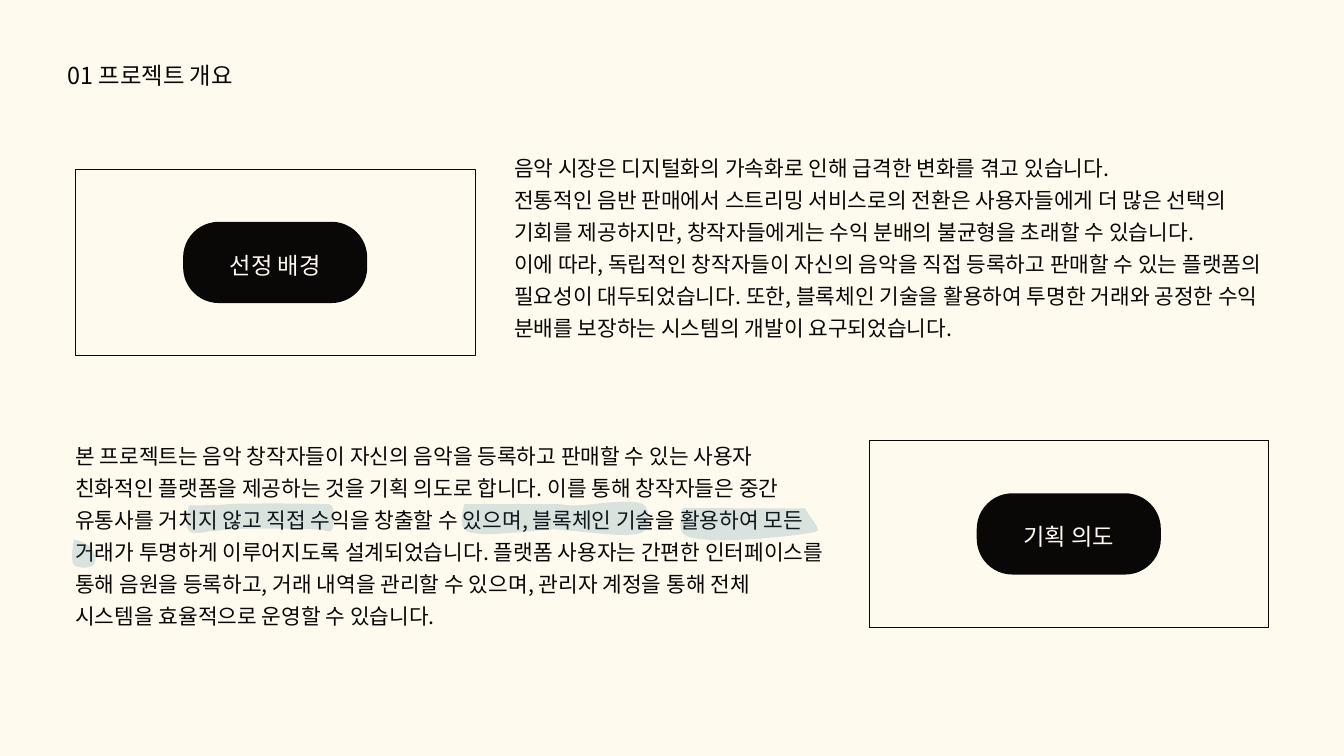
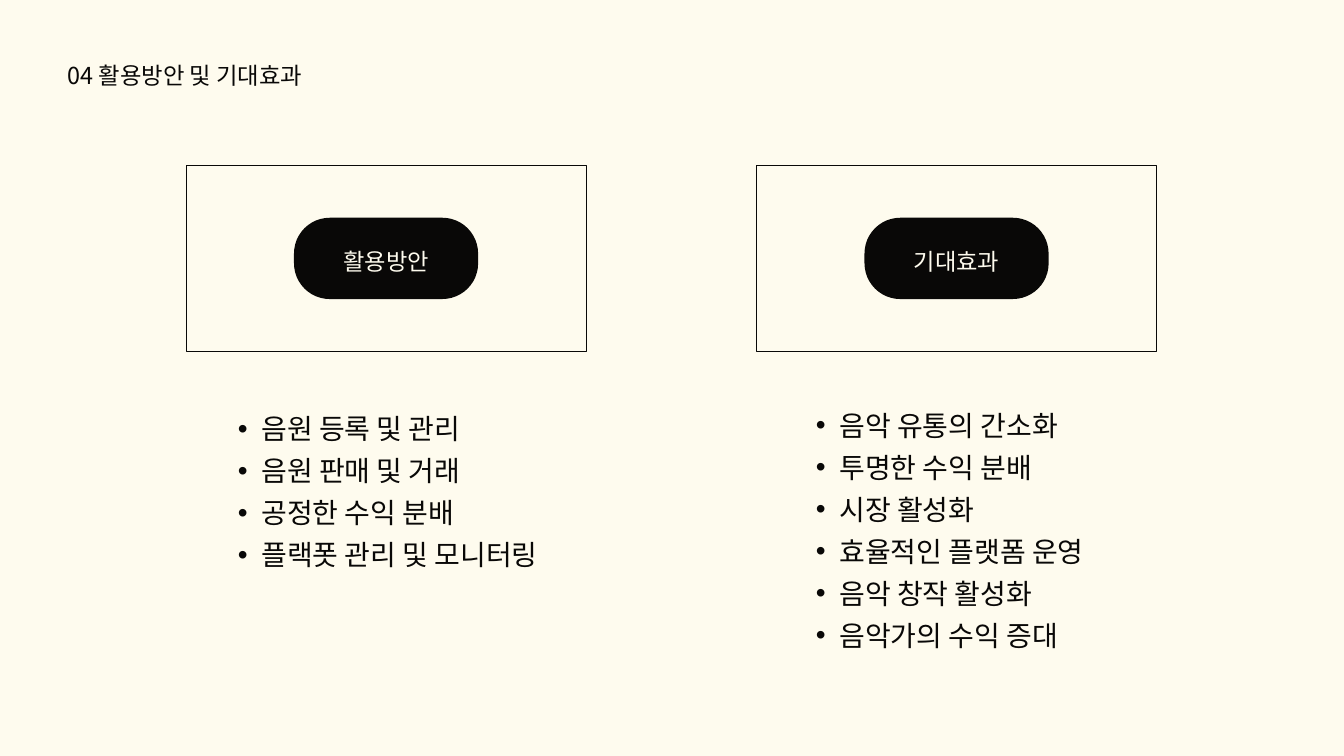
from lxml.etree import SubElement
from pptx import Presentation
from pptx.dml.color import RGBColor
from pptx.enum.lang import MSO_LANGUAGE_ID
from pptx.enum.shapes import MSO_SHAPE
from pptx.enum.text import MSO_ANCHOR, MSO_AUTO_SIZE, PP_ALIGN
from pptx.oxml.ns import qn
from pptx.util import Inches, Pt

# Shared look
CREAM = RGBColor(0xFE, 0xFB, 0xEE)
INK = RGBColor(0x09, 0x08, 0x07)
MARKER = RGBColor(0x26, 0x67, 0x8B)
MARKER_OPACITY = 17
FONT = "Noto Sans CJK SC"

TITLE = {"size": Pt(25), "spacing": Pt(35), "color": INK}
BODY = {"size": Pt(22.9), "spacing": Pt(34.3), "color": INK}
LABEL = {"size": Pt(24.9), "spacing": Pt(34.9), "color": CREAM, "align": PP_ALIGN.CENTER}
BULLETS = {"size": Pt(30), "spacing": Pt(45), "color": INK, "bullet": "•"}
JUSTIFIED_BULLETS = {**BULLETS, "align": PP_ALIGN.JUSTIFY}

CARD_W, CARD_H = 5.95, 2.77
PILL_W, PILL_H = 2.74, 1.21
PILL_ROUNDING = 0.44

# Content: cards are (label, left, top); texts are (box, format, paragraphs)
SLIDES = [
    {
        "title": ("01 프로젝트 개요", 2.82),
        "cards": [("선정 배경", 1.12, 2.52), ("기획 의도", 12.93, 6.56)],
        "texts": [
            ((7.65, 2.21, 11.23, 3.3), BODY, [
                "음악 시장은 디지털화의 가속화로 인해 급격한 변화를 겪고 있습니다.",
                "전통적인 음반 판매에서 스트리밍 서비스로의 전환은 사용자들에게 더 많은 "
                "선택의 기회를 제공하지만, 창작자들에게는 수익 분배의 불균형을 초래할 수 "
                "있습니다.",
                "이에 따라, 독립적인 창작자들이 자신의 음악을 직접 등록하고 판매할 수 있는 "
                "플랫폼의 필요성이 대두되었습니다. 또한, 블록체인 기술을 활용하여 투명한 "
                "거래와 공정한 수익 분배를 보장하는 시스템의 개발이 요구되었습니다.",
            ]),
            ((1.12, 6.5, 11.23, 2.82), BODY, [
                "본 프로젝트는 음악 창작자들이 자신의 음악을 등록하고 판매할 수 있는 사용자 "
                "친화적인 플랫폼을 제공하는 것을 기획 의도로 합니다. 이를 통해 창작자들은 "
                "중간 유통사를 거치지 않고 직접 수익을 창출할 수 있으며, 블록체인 기술을 "
                "활용하여 모든 거래가 투명하게 이루어지도록 설계되었습니다. 플랫폼 사용자는 "
                "간편한 인터페이스를 통해 음원을 등록하고, 거래 내역을 관리할 수 있으며, "
                "관리자 계정을 통해 전체 시스템을 효율적으로 운영할 수 있습니다.",
            ]),
        ],
        # Marker strokes: a start point, then three points per curve
        "strokes": [
            [(2.81, 7.52), (3.29, 7.52), (3.32, 7.51), (3.42, 7.5),
             (3.66, 7.49), (4.48, 7.49), (4.73, 7.5), (4.83, 7.51), (4.89, 7.48), (4.93, 7.52),
             (4.99, 7.58), (4.98, 7.85), (4.93, 7.9), (4.89, 7.93), (4.83, 7.88), (4.73, 7.88),
             (4.49, 7.86), (3.66, 7.86), (3.42, 7.88), (3.32, 7.88), (3.29, 7.89), (3.21, 7.9),
             (3.1, 7.9), (2.88, 7.97), (2.81, 7.9), (2.75, 7.84), (2.81, 7.52), (2.81, 7.52)],
            [(6.91, 7.5), (8.21, 7.5), (8.24, 7.5), (8.31, 7.5),
             (8.39, 7.51), (8.43, 7.52), (8.53, 7.52), (8.75, 7.53), (9.46, 7.39), (9.59, 7.52),
             (9.67, 7.6), (9.67, 7.82), (9.59, 7.9), (9.46, 8.03), (8.71, 7.91), (8.5, 7.9),
             (8.4, 7.89), (8.39, 7.88), (8.3, 7.88), (8.05, 7.86), (7.06, 8.04), (6.91, 7.88),
             (6.82, 7.8), (6.91, 7.5), (6.91, 7.5)],
            [(10.16, 7.56), (12.03, 7.57), (11.99, 7.56), (11.99, 7.57),
             (11.97, 7.59), (12.19, 7.84), (12.17, 7.89),
             (12.16, 7.92), (12.11, 7.92), (12.05, 7.93),
             (11.8, 7.98), (10.36, 8.14), (10.16, 7.94),
             (10.08, 7.85), (10.16, 7.56), (10.16, 7.56)],
            [(1.1, 8.03), (1.45, 8.09), (1.45, 8.35), (1.39, 8.41),
             (1.34, 8.46), (1.15, 8.46), (1.1, 8.41), (1.04, 8.35), (1.1, 8.03), (1.1, 8.03)],
        ],
    },
    {
        "title": ("04 활용방안 및 기대효과", 4.16),
        "cards": [("활용방안", 2.77, 2.46), ("기대효과", 11.26, 2.46)],
        "texts": [
            ((3.18, 6, 5.12, 3.75), BULLETS, [
                "음원 등록 및 관리", "음원 판매 및 거래", "공정한 수익 분배",
                "플랙폿 관리 및 모니터링",
            ]),
            ((11.78, 5.95, 4.92, 4.37), JUSTIFIED_BULLETS, [
                "음악 유통의 간소화", "투명한 수익 분배", "시장 활성화",
                "효율적인 플랫폼 운영", "음악 창작 활성화", "음악가의 수익 증대",
            ]),
        ],
        "strokes": [],
    },
]


def write(frame, paragraphs, style):
    frame.word_wrap = True
    for side in ("left", "top", "right", "bottom"):
        setattr(frame, f"margin_{side}", 0)
    for index, words in enumerate(paragraphs):
        paragraph = frame.add_paragraph() if index else frame.paragraphs[0]
        paragraph.line_spacing = style["spacing"]
        paragraph.alignment = style.get("align", PP_ALIGN.LEFT)
        if "bullet" in style:
            paragraph.level = 1
            props = paragraph._p.get_or_add_pPr()
            props.set("marL", str(Inches(0.71)))
            props.set("indent", str(Inches(-0.35)))
            SubElement(props, qn("a:buFont"), typeface="Arial")
            SubElement(props, qn("a:buChar"), char=style["bullet"])
        run = paragraph.add_run()
        run.text = words
        font_format = {"size": style["size"], "name": FONT,
                       "language_id": MSO_LANGUAGE_ID.ENGLISH_US}
        for attribute, value in font_format.items():
            setattr(run.font, attribute, value)
        run.font.color.rgb = style["color"]
        SubElement(run._r.get_or_add_rPr(), qn("a:ea"), typeface=FONT)


def add_text(slide, box, paragraphs, style):
    frame = slide.shapes.add_textbox(*map(Inches, box)).text_frame
    write(frame, paragraphs, style)
    frame.auto_size = MSO_AUTO_SIZE.SHAPE_TO_FIT_TEXT


def add_card(slide, label, left, top):
    border = slide.shapes.add_shape(
        MSO_SHAPE.RECTANGLE, *map(Inches, (left, top, CARD_W, CARD_H)))
    border.shadow.inherit = False
    border.fill.background()
    border.line.color.rgb = INK
    border.line.width = Pt(0.75)

    # The pill sits in the centre of its card
    pill_box = (left + (CARD_W - PILL_W) / 2, top + (CARD_H - PILL_H) / 2, PILL_W, PILL_H)
    pill = slide.shapes.add_shape(MSO_SHAPE.ROUNDED_RECTANGLE, *map(Inches, pill_box))
    pill.adjustments[0] = PILL_ROUNDING
    pill.shadow.inherit = False
    pill.fill.solid()
    pill.fill.fore_color.rgb = INK
    pill.line.fill.background()
    write(pill.text_frame, [label], LABEL)
    pill.text_frame.vertical_anchor = MSO_ANCHOR.MIDDLE


def add_stroke(slide, points):
    start, *rest = [tuple(map(Inches, point)) for point in points]
    builder = slide.shapes.build_freeform(*start)
    builder.add_line_segments(rest, close=False)
    stroke = builder.convert_to_shape()
    stroke.shadow.inherit = False
    stroke.fill.solid()
    stroke.fill.fore_color.rgb = MARKER
    stroke.line.fill.background()
    color = stroke._element.spPr.find(qn("a:solidFill"))[0]
    SubElement(color, qn("a:alpha"), val=str(MARKER_OPACITY * 1000))

    # Join each three straight segments into one cubic curve
    segments = list(stroke._element.iter(qn("a:lnTo")))
    outline = segments[0].getparent()
    for first in range(0, len(segments), 3):
        curve = SubElement(outline, qn("a:cubicBezTo"))
        for segment in segments[first:first + 3]:
            curve.append(segment[0])
            outline.remove(segment)


def main():
    deck = Presentation()
    deck.slide_width, deck.slide_height = Inches(20), Inches(11.25)
    for content in SLIDES:
        slide = deck.slides.add_slide(deck.slide_layouts[6])
        slide.background.fill.solid()
        slide.background.fill.fore_color.rgb = CREAM
        title, title_width = content["title"]
        add_text(slide, (1.01, 0.84, title_width, 0.49), [title], TITLE)
        for card in content["cards"]:
            add_card(slide, *card)
        for box, style, paragraphs in content["texts"]:
            add_text(slide, box, paragraphs, style)
        for points in content["strokes"]:
            add_stroke(slide, points)
    deck.save("out.pptx")


if __name__ == "__main__":
    main()
